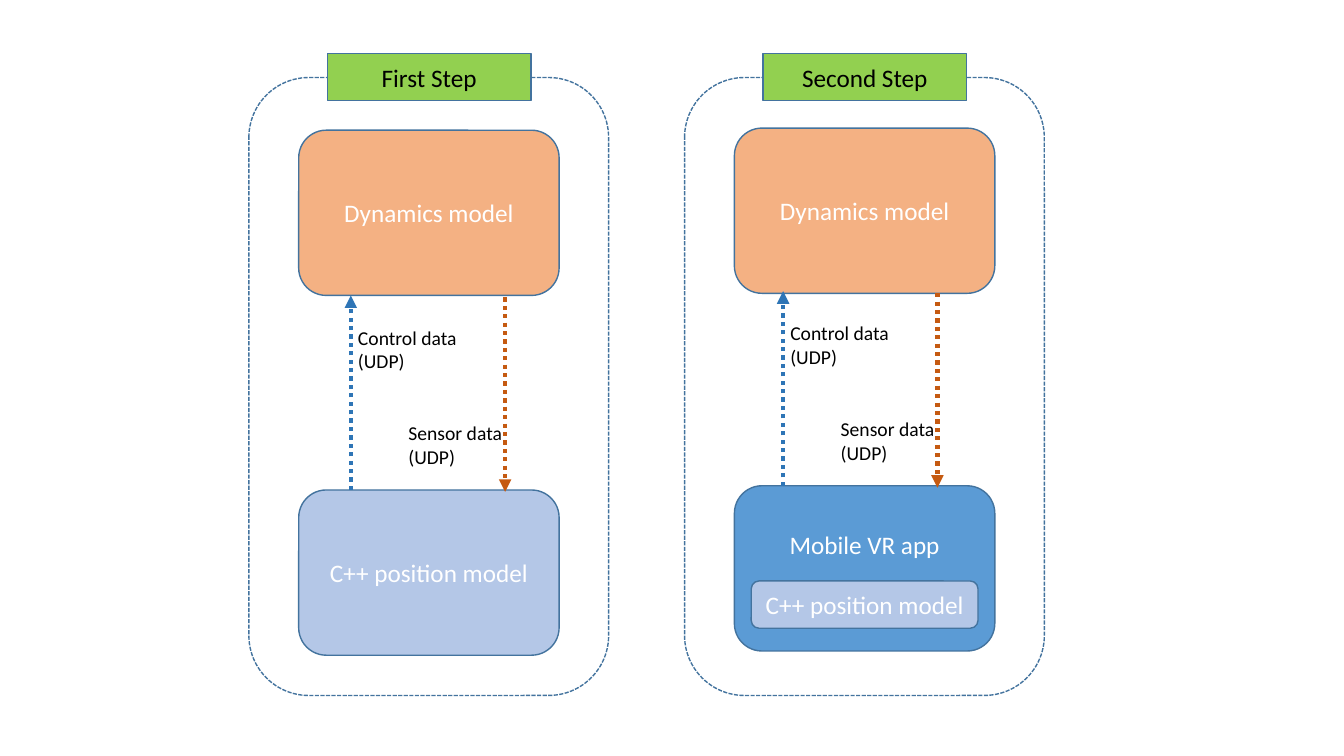
"""Build the slide comparing the two simulation steps and their UDP data flows."""
import pptx
import pptx.dml.color
import pptx.enum.dml
import pptx.enum.shapes
import pptx.enum.text
import pptx.oxml
import pptx.oxml.ns
import pptx.util

Pt = pptx.util.Pt
RGBColor = pptx.dml.color.RGBColor
SHAPE = pptx.enum.shapes.MSO_SHAPE
DASH = pptx.enum.dml.MSO_LINE
ALIGN = pptx.enum.text.PP_ALIGN
ANCHOR = pptx.enum.text.MSO_ANCHOR

WHITE = RGBColor(0xFF, 0xFF, 0xFF)
BLACK = RGBColor(0x00, 0x00, 0x00)
OUTLINE = RGBColor(0x43, 0x73, 0x9E)
PEACH = RGBColor(0xF4, 0xB1, 0x83)
LAVENDER = RGBColor(0xB4, 0xC7, 0xE7)
BLUE = RGBColor(0x5B, 0x9B, 0xD5)
GREEN = RGBColor(0x92, 0xD0, 0x50)
CONTROL = RGBColor(0x2E, 0x75, 0xB6)
SENSOR = RGBColor(0xC5, 0x5A, 0x11)

BOX_WIDTH, BOX_HEIGHT = 186, 118
POSITION_MODEL = "C++ position model"

presentation = pptx.Presentation()
presentation.slide_width = Pt(960)
presentation.slide_height = Pt(540)
slide = presentation.slides.add_slide(presentation.slide_layouts[6])


def write(shape, text, size, color, align):
    """Put one formatted paragraph into a shape."""
    shape.text_frame.word_wrap = True
    paragraph = shape.text_frame.paragraphs[0]
    paragraph.text = text
    paragraph.alignment = align
    font = paragraph.runs[0].font
    font.name, font.size, font.color.rgb = "Calibri", Pt(size), color


def add_block(kind, left, top, width, height, fill=None, text="", color=WHITE):
    """Add an outlined block, filled and labelled when asked."""
    block = slide.shapes.add_shape(kind, Pt(left), Pt(top), Pt(width), Pt(height))
    block.shadow.inherit = False
    block.line.color.rgb = OUTLINE
    block.line.width = Pt(1)
    if fill is None:
        block.fill.background()
    else:
        block.fill.solid()
        block.fill.fore_color.rgb = fill
    if text:
        write(block, text, 18, color, ALIGN.CENTER)
        block.text_frame.vertical_anchor = ANCHOR.MIDDLE
    return block


steps = [
    ("First Step", 177.8, 93, 350, 250.6, 211, LAVENDER, POSITION_MODEL),
    ("Second Step", 489, 91.5, 347, 559.4, 208, BLUE, "Mobile VR app"),
]
for step, left, model_top, target_top, flow_left, flow_top, target_fill, target in steps:
    box_left = left + 35.6
    frame = add_block(SHAPE.ROUNDED_RECTANGLE, left, 55.4, 257, 441.4)
    frame.line.dash_style = DASH.SQUARE_DOT
    frame.line._get_or_add_ln().find(pptx.oxml.ns.qn("a:prstDash")).set("val", "sysDash")
    add_block(SHAPE.RECTANGLE, left + 56, 38.2, 145.5, 33.8, GREEN, step, BLACK)
    add_block(SHAPE.ROUNDED_RECTANGLE, box_left, model_top, BOX_WIDTH, BOX_HEIGHT,
              PEACH, "Dynamics model")
    target_box = add_block(SHAPE.ROUNDED_RECTANGLE, box_left, target_top,
                           BOX_WIDTH, BOX_HEIGHT, target_fill, target)
    if target != POSITION_MODEL:
        target_box.text_frame.vertical_anchor = ANCHOR.TOP
        target_box.text_frame.margin_top = Pt(25.6)
        add_block(SHAPE.ROUNDED_RECTANGLE, box_left + 12, target_top + 68, 162, 33.8,
                  LAVENDER, POSITION_MODEL)

    flows = [
        ("Sensor data (UDP)", SENSOR, 110.2, 1.4, 140.4, 34, 86.4),
        ("Control data (UDP)", CONTROL, 0, 139, 0, -2, 18),
    ]
    for label, color, arrow_x, start, end, label_x, label_y in flows:
        arrow = slide.shapes.add_connector(
            pptx.enum.shapes.MSO_CONNECTOR.STRAIGHT,
            Pt(flow_left + arrow_x), Pt(flow_top + start),
            Pt(flow_left + arrow_x), Pt(flow_top + end))
        arrow.line.color.rgb = color
        arrow.line.width = Pt(3)
        arrow.line.dash_style = DASH.ROUND_DOT
        line = arrow.line._get_or_add_ln()
        line.find(pptx.oxml.ns.qn("a:prstDash")).set("val", "sysDot")
        head = pptx.oxml.parse_xml(
            f'<a:tailEnd {pptx.oxml.ns.nsdecls("a")} type="triangle"/>')
        line.append(head)
        arrow._element.spPr.append(
            pptx.oxml.parse_xml(f'<a:effectLst {pptx.oxml.ns.nsdecls("a")}/>'))
        caption = slide.shapes.add_textbox(
            Pt(flow_left + label_x), Pt(flow_top + label_y), Pt(85.7), Pt(41))
        write(caption, label, 14, BLACK, ALIGN.LEFT)

presentation.save("out.pptx")
